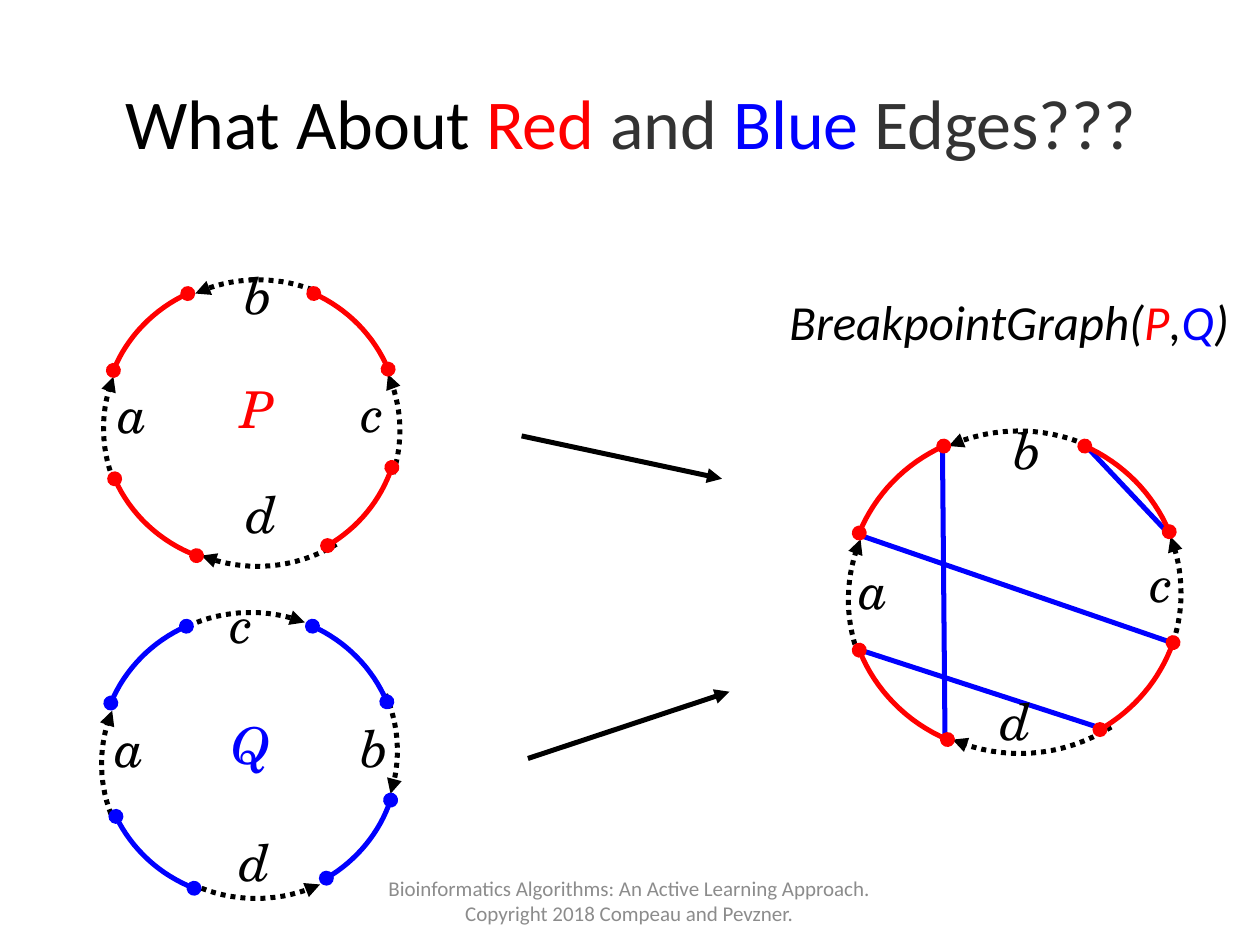
from math import atan2, cos, hypot, pi, sin

from lxml.etree import SubElement
from pptx import Presentation
from pptx.dml.color import RGBColor
from pptx.enum.dml import MSO_LINE
from pptx.enum.shapes import MSO_CONNECTOR
from pptx.enum.text import MSO_ANCHOR, MSO_AUTO_SIZE, PP_ALIGN
from pptx.oxml.ns import qn
from pptx.util import Cm, Pt

BLACK, GREY, DARK = "000000", "8C8C8C", "333333"
RED, BLUE = "FF0000", "0000FF"
SANS, SERIF = "Calibri", "TeX Gyre Schola"
FLATTENING = 0.97
ARC_STEPS = 16


def color(value):
    return RGBColor.from_string(value)


def inches(value):
    return Cm(value * 2.54)


class Canvas:
    def __init__(self, deck):
        self.page = deck.slides.add_slide(deck.slide_layouts[5])

    def stroke(self, shape, line_color, head=None, tail=None, dotted=False):
        shape.line.color.rgb = color(line_color)
        shape.line.width = Pt(2.85)
        if dotted:
            shape.line.dash_style = MSO_LINE.ROUND_DOT
        outline = shape.element.spPr.find(qn("a:ln"))
        for tag, kind in (("a:headEnd", head), ("a:tailEnd", tail)):
            if kind:
                SubElement(outline, qn(tag), type=kind)

    def line(self, start, end, line_color, tail=None):
        ends = [inches(value) for value in start + end]
        connector = self.page.shapes.add_connector(MSO_CONNECTOR.STRAIGHT, *ends)
        self.stroke(connector, line_color, tail=tail)
        SubElement(connector.element.spPr, qn("a:effectLst"))

    def arc(self, center, start, end, line_color, **ends):
        def polar(point):
            across, down = point[0] - center[0], (point[1] - center[1]) / FLATTENING
            return atan2(down, across), hypot(across, down)

        (first, near), (last, far) = polar(start), polar(end)
        sweep = (last - first + pi) % (2 * pi) - pi
        points = []
        for step in range(ARC_STEPS + 1):
            share = step / ARC_STEPS
            angle = first + sweep * share
            radius = near + (far - near) * share
            points.append((inches(center[0] + radius * cos(angle)),
                           inches(center[1] + FLATTENING * radius * sin(angle))))
        builder = self.page.shapes.build_freeform(*points[0])
        builder.add_line_segments(points[1:], close=False)
        curve = builder.convert_to_shape()
        curve.fill.background()
        curve.shadow.inherit = False
        self.stroke(curve, line_color, **ends)

    def genome(self, center, edge_color, genes, edges):
        for start, end in genes:
            self.arc(center, start, end, BLACK, tail="triangle", dotted=True)
        for start, end in edges:
            self.arc(center, start, end, edge_color, head="oval", tail="oval")

    def fill_text(self, box, spans, size, font, italic=False, align=PP_ALIGN.LEFT, spacing=None):
        para = box.text_frame.paragraphs[0]
        para.alignment = align
        para.line_spacing = spacing
        para.font.size = Pt(size)
        para.font.name = font
        para.font.italic = italic
        for text, text_color in spans:
            span = para.add_run()
            span.text = text
            span.font.color.rgb = color(text_color)

    def no_margins(self, frame):
        frame.margin_left = frame.margin_right = 0
        frame.margin_top = frame.margin_bottom = 0

    def text(self, place, spans, size, font, wrap=True, margins=False, anchor=MSO_ANCHOR.TOP, **style):
        box = self.page.shapes.add_textbox(*[inches(value) for value in place])
        frame = box.text_frame
        frame.word_wrap = wrap
        frame.vertical_anchor = anchor
        if not margins:
            self.no_margins(frame)
        self.fill_text(box, spans, size, font, **style)

    def label(self, letter, left, top, text_color=BLACK):
        self.text((left, top, 0.3, 0.55), [(letter, text_color)], 29, SERIF,
                  wrap=False, italic=True, spacing=0.63)

    def title(self, place, spans):
        box = self.page.shapes.title
        box.left, box.top, box.width, box.height = [inches(value) for value in place]
        frame = box.text_frame
        frame.auto_size = MSO_AUTO_SIZE.NONE
        frame.vertical_anchor = MSO_ANCHOR.MIDDLE
        self.no_margins(frame)
        self.fill_text(box, spans, 40, SANS, align=PP_ALIGN.CENTER, spacing=1.02)


def main():
    deck = Presentation()
    deck.slide_width, deck.slide_height = inches(10), inches(7.5)
    canvas = Canvas(deck)

    canvas.title((0.17, 0.33, 9.67, 1.25), [
        ("What About ", BLACK), ("Red", RED), (" and ", DARK),
        ("Blue", BLUE), (" Edges???", DARK)])

    for start, end in (((6.83, 5.16), (8.77, 5.79)), ((7.5, 5.85), (7.48, 3.55)),
                       ((6.83, 4.25), (9.3, 5.1)), ((8.61, 3.53), (9.27, 4.23))):
        canvas.line(start, end, BLUE)
    for start, end in (((4.14, 3.46), (5.73, 3.8)), ((4.19, 6.02), (5.79, 5.49))):
        canvas.line(start, end, BLACK, tail="triangle")

    canvas.genome(
        (2, 3.36), RED,
        genes=[((0.9, 3.81), (0.9, 2.99)), ((2.48, 2.3), (1.55, 2.33)),
               ((3.12, 3.76), (3.08, 2.97)), ((2.67, 4.32), (1.6, 4.41))],
        edges=[((3.08, 2.93), (2.49, 2.33)), ((1.49, 2.33), (0.9, 2.94)),
               ((2.6, 4.33), (3.11, 3.71)), ((0.91, 3.8), (1.56, 4.41))])
    canvas.genome(
        (1.98, 6), BLUE,
        genes=[((0.88, 6.46), (0.89, 5.64)), ((1.49, 4.97), (2.42, 4.94)),
               ((3.06, 5.51), (3.1, 6.3)), ((1.6, 7.05), (2.54, 7.02))],
        edges=[((3.07, 5.57), (2.48, 4.97)), ((1.48, 4.97), (0.88, 5.58)),
               ((2.59, 6.97), (3.1, 6.35)), ((0.92, 6.48), (1.54, 7.05))])
    canvas.genome(
        (8.05, 4.7), RED,
        genes=[((6.81, 5.19), (6.83, 4.28)), ((8.62, 3.53), (7.53, 3.54)),
               ((9.31, 5.1), (9.29, 4.26)), ((8.82, 5.77), (7.56, 5.87))],
        edges=[((9.28, 4.22), (8.61, 3.54)), ((7.49, 3.54), (6.82, 4.23)),
               ((8.73, 5.79), (9.31, 5.1)), ((6.82, 5.16), (7.52, 5.87))])

    for letter, left, top in (
            ("a", 0.94, 3.2), ("b", 1.94, 2.25), ("c", 2.87, 3.19), ("d", 1.96, 3.99),
            ("a", 0.92, 5.85), ("c", 1.83, 4.86), ("b", 2.86, 5.85), ("d", 1.9, 6.75),
            ("a", 6.82, 4.59), ("b", 8.04, 3.48), ("c", 9.13, 4.54), ("d", 7.94, 5.63)):
        canvas.label(letter, left, top)
    canvas.label("P", 1.91, 3.16, RED)
    canvas.label("Q", 1.84, 5.82, BLUE)

    canvas.text((5.89, 2.47, 4.24, 0.68), [
        ("BreakpointGraph(", BLACK), ("P", RED), (",", BLACK), ("Q", BLUE), (")", BLACK)],
        28, SANS, italic=True, align=PP_ALIGN.CENTER, spacing=0.63)
    canvas.text((2.83, 6.95, 4.33, 0.4), [
        ("Bioinformatics Algorithms: An Active Learning Approach. "
         "Copyright 2018 Compeau and Pevzner.", GREY)],
        12, SANS, margins=True, anchor=MSO_ANCHOR.MIDDLE, align=PP_ALIGN.CENTER)

    deck.save("out.pptx")


if __name__ == "__main__":
    main()
